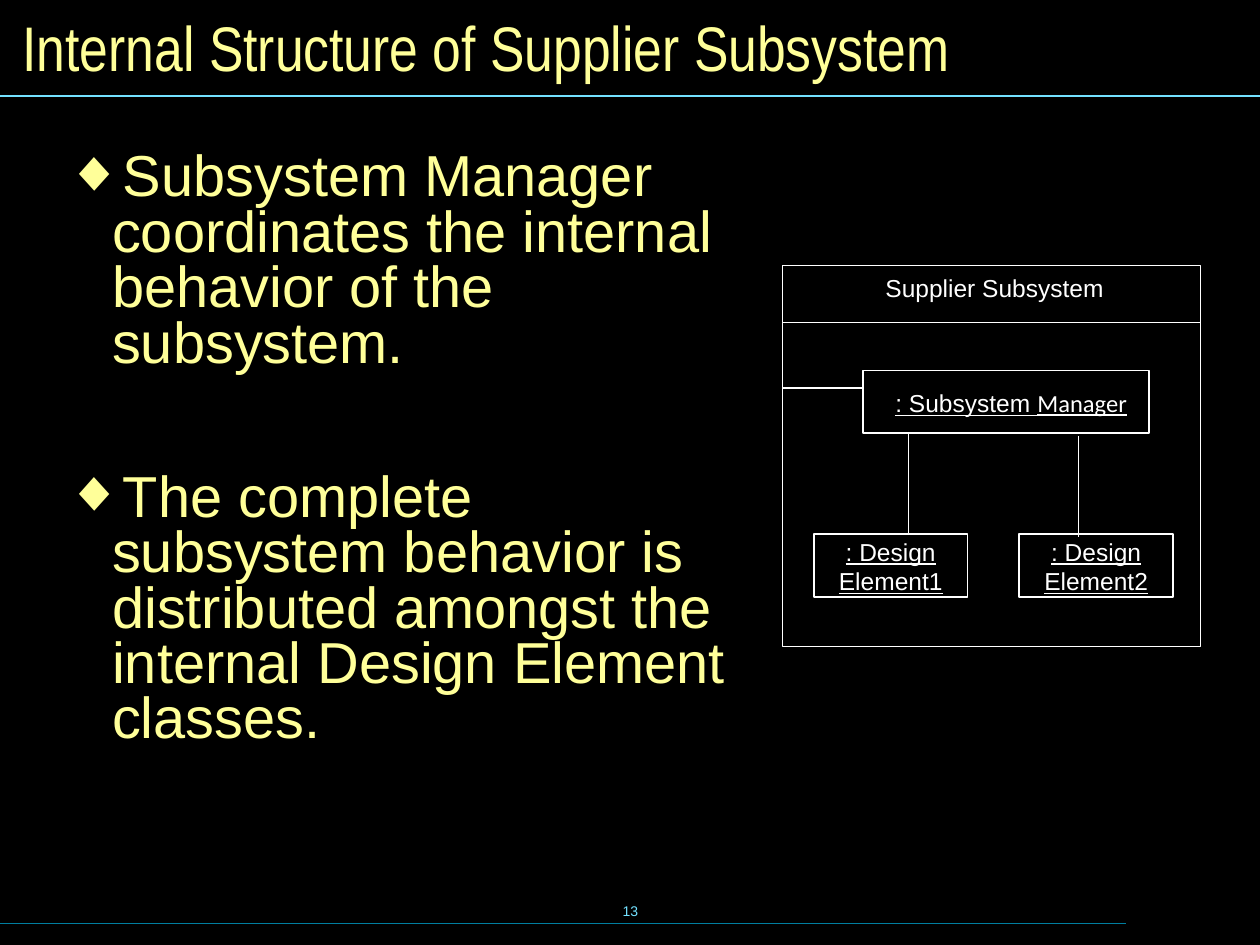
"""Build the slide on the internal structure of a supplier subsystem."""
from dataclasses import dataclass

from lxml import etree
from pptx import Presentation
from pptx import util as u
from pptx.dml.color import RGBColor
from pptx.enum import shapes, text
from pptx.oxml.ns import qn
from pptx.slide import Slide


@dataclass(frozen=True)
class Theme:
    back: str = "000000"
    ink: str = "FFFFFF"
    heading: str = "FFFF99"
    accent: str = "73E1FF"
    footer: str = "007E9F"
    face: str = "Arial"
    narrow: str = "Arial Narrow"
    alt: str = "Calibri"
    title: float = 36
    body: float = 33
    label: float = 14
    number: float = 8


@dataclass(frozen=True)
class Box:
    x: float
    y: float
    w: float
    h: float

    def lengths(self) -> list[u.Length]:
        return [u.Pt(v) for v in (self.x, self.y, self.w, self.h)]


@dataclass(frozen=True)
class Run:
    text: str
    size: float
    color: str
    face: str = Theme.face
    underline: bool = False


@dataclass(frozen=True)
class Line:
    x1: float
    y1: float
    x2: float
    y2: float
    color: str = Theme.ink


T = Theme()
LEFT, CENTER = text.PP_ALIGN.LEFT, text.PP_ALIGN.CENTER
TOP, MIDDLE = text.MSO_ANCHOR.TOP, text.MSO_ANCHOR.MIDDLE


def rgb(value: str) -> RGBColor:
    return RGBColor.from_string(value)


def add_text(s: Slide, box: Box, paras: list[list[Run]], align=LEFT, anchor=TOP,
             inset: tuple[float, float] = (0, 0)):
    tf = s.shapes.add_textbox(*box.lengths()).text_frame
    tf.word_wrap, tf.vertical_anchor = True, anchor
    tf.margin_left = tf.margin_right = u.Pt(inset[0])
    tf.margin_top = tf.margin_bottom = u.Pt(inset[1])
    for i, runs in enumerate(paras):
        p = tf.add_paragraph() if i else tf.paragraphs[0]
        p.alignment = align
        for run in runs:
            r = p.add_run()
            r.text = run.text
            r.font.name, r.font.size = run.face, u.Pt(run.size)
            r.font.color.rgb = rgb(run.color)
            if run.underline:
                r.font.underline = True
    return tf


def add_bullets(s: Slide, box: Box, items: list[str], indent: float, gap: float) -> None:
    paras = [[Run(item, T.body, T.heading)] for item in items]
    tf = add_text(s, box, paras, inset=(8.64, 4.32))
    for i, p in enumerate(tf.paragraphs):
        ppr = p._p.get_or_add_pPr()
        ppr.set("marL", str(u.Pt(indent)))
        ppr.set("indent", str(-u.Pt(indent)))
        color = etree.SubElement(ppr, qn("a:buClr"))
        etree.SubElement(color, qn("a:srgbClr"), val=T.heading)
        etree.SubElement(ppr, qn("a:buFont"), typeface=T.face)
        etree.SubElement(ppr, qn("a:buChar"), char="◆")
        p.line_spacing = 0.8
        if i:
            p.space_before = u.Pt(gap)


def add_rect(s: Slide, box: Box, weight: float) -> None:
    sp = s.shapes.add_shape(shapes.MSO_SHAPE.RECTANGLE, *box.lengths())
    sp.shadow.inherit = False
    sp.fill.background()
    sp.line.color.rgb, sp.line.width = rgb(T.ink), u.Pt(weight)


def add_line(s: Slide, ln: Line) -> None:
    ends = [u.Pt(v) for v in (ln.x1, ln.y1, ln.x2, ln.y2)]
    cx = s.shapes.add_connector(shapes.MSO_CONNECTOR.STRAIGHT, *ends)
    cx.line.color.rgb, cx.line.width = rgb(ln.color), u.Pt(0.75)
    etree.SubElement(cx._element.spPr, qn("a:effectLst"))


def label(words: str, face: str = T.face, underline: bool = True) -> Run:
    return Run(words, T.label, T.ink, face, underline)


def add_diagram(s: Slide) -> None:
    frame = Box(447.1, 151.9, 239, 217.4)
    manager = Box(493.2, 211.7, 163.4, 36)
    add_rect(s, manager, 1)
    add_text(s, Box(499.6, 221.8, 156.4, 16.6),
             [[label(": Subsystem "), label("Manager", T.alt)]], CENTER)
    for n, x in enumerate((465.1, 582.5), 1):
        add_rect(s, Box(x, 305.3, 87.8, 36), 1)
        add_text(s, Box(x + 4, 306.7, 79.8, 33.8),
                 [[label(": Design")], [label(f"Element{n}")]], CENTER)
    add_rect(s, frame, 0.75)
    add_text(s, Box(488.4, frame.y, 160, 25.2),
             [[label("Supplier Subsystem", underline=False)]], CENTER,
             inset=(8.64, 4.32))
    for ln in (Line(frame.x, 184.3, frame.x + frame.w, 184.3),
               Line(519.1, 247.7, 519.1, 305.3),
               Line(616.3, 249.1, 616.3, 306.7),
               Line(manager.x, 221.8, frame.x, 221.8)):
        add_line(s, ln)


def main() -> None:
    prs = Presentation()
    prs.slide_width, prs.slide_height = u.Pt(720), u.Pt(540)
    s = prs.slides.add_slide(prs.slide_layouts[6])
    s.background.fill.solid()
    s.background.fill.fore_color.rgb = rgb(T.back)
    add_text(s, Box(246.2, 502.6, 228.2, 36), [[Run("13", T.number, T.accent)]],
             CENTER, MIDDLE, (7.2, 3.6))
    add_line(s, Line(0, 527.8, 643.7, 527.8, T.footer))
    add_line(s, Line(0, 54.9, 720, 54.9, T.accent))
    add_text(s, Box(5.8, 5.8, 708.5, 41.8),
             [[Run("Internal Structure of Supplier Subsystem", T.title, T.heading, T.narrow)]],
             anchor=MIDDLE, inset=(7.2, 3.6))
    add_bullets(s, Box(28.8, 82.8, 394.8, 403.2), [
        "Subsystem Manager coordinates the internal behavior of the subsystem.",
        "The complete subsystem behavior is distributed amongst the internal "
        "Design Element classes.",
    ], indent=26.64, gap=56.3)
    add_diagram(s)
    prs.save("out.pptx")


if __name__ == "__main__":
    main()
